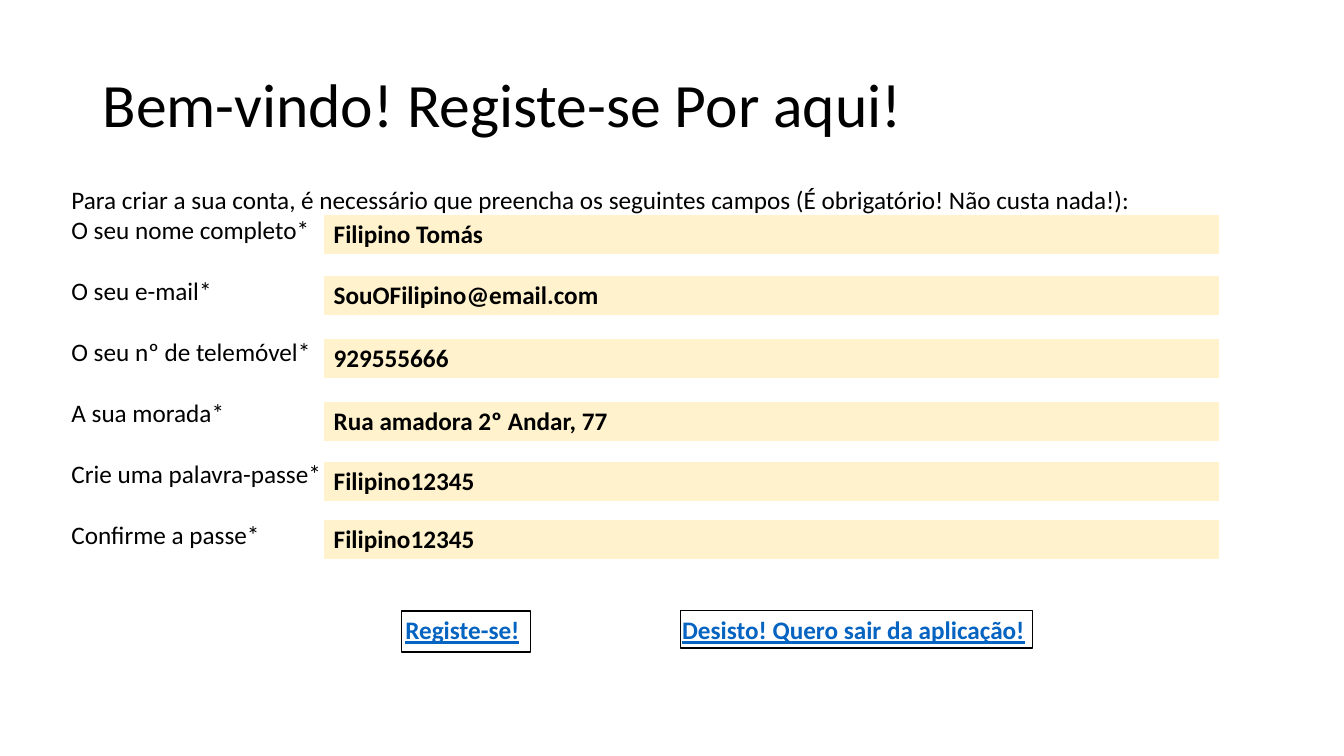
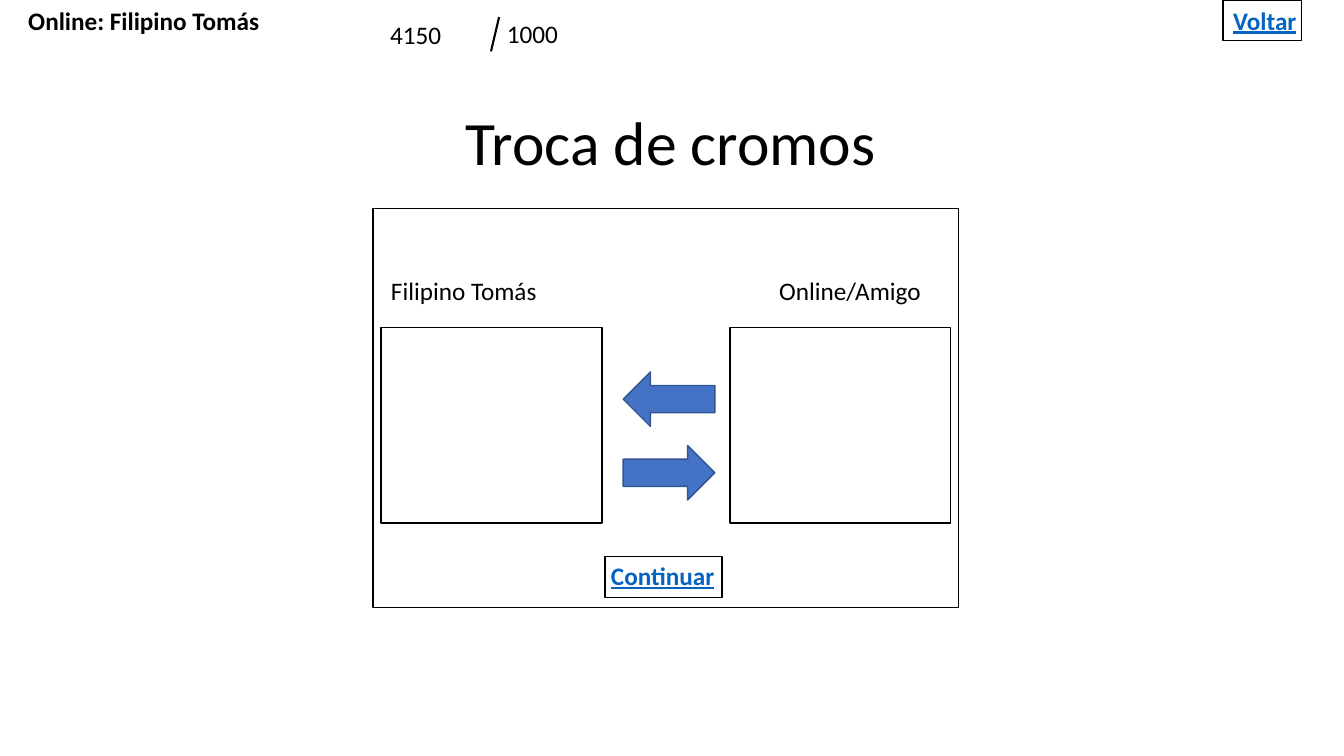
"""Builds the registration and card exchange screens."""
from lxml import etree
from pptx import Presentation
from pptx.dml.color import RGBColor
from pptx.enum import shapes, text
from pptx.oxml import ns
from pptx.util import Inches, Pt

FONT = "Calibri"
BLACK = RGBColor(0x00, 0x00, 0x00)
WHITE = RGBColor(0xFF, 0xFF, 0xFF)
CREAM = RGBColor(0xFF, 0xF2, 0xCC)
LINK_BLUE = RGBColor(0x05, 0x63, 0xC1)
ARROW_BLUE = RGBColor(0x44, 0x72, 0xC4)
ARROW_EDGE = RGBColor(0x32, 0x54, 0x91)
BODY_SIZE = 18
TITLE_SIZE = 44
ROW_HEIGHT = 0.41
CELL_MARGIN = 0.1
BORDERS = (("lnL", 1), ("lnR", 1), ("lnT", 1), ("lnB", 3))

FORM_INTRO = (
    "Para criar a sua conta, é necessário que preencha os seguintes campos "
    "(É obrigatório! Não custa nada!):"
)
FORM_FIELDS = (
    ("O seu nome completo*", "Filipino Tomás", 2.13),
    ("O seu e-mail*", "SouOFilipino@email.com", 2.73),
    ("O seu nº de telemóvel*", "929555666", 3.36),
    ("A sua morada*", "Rua amadora 2º Andar, 77", 3.98),
    ("Crie uma palavra-passe*", "Filipino12345", 4.58),
    ("Confirme a passe*", "Filipino12345", 5.15),
)


def add_run(paragraph, content, size=BODY_SIZE, color=BLACK, bold=False, underline=False):
    run = paragraph.add_run()
    run.text = content
    font = run.font
    font.name, font.size, font.bold, font.underline = FONT, Pt(size), bold, underline
    font.color.rgb = color


def add_text(slide, left, top, width, height, content, size=BODY_SIZE):
    box = slide.shapes.add_textbox(*map(Inches, (left, top, width, height)))
    frame = box.text_frame
    frame.word_wrap = True
    add_run(frame.paragraphs[0], content, size)
    return frame


def set_borders(cell):
    properties = cell._tc.get_or_add_tcPr()
    for position, (tag, width) in enumerate(BORDERS):
        border = etree.Element(ns.qn(f"a:{tag}"), w=str(Pt(width)))
        fill = etree.SubElement(border, ns.qn("a:solidFill"))
        etree.SubElement(fill, ns.qn("a:srgbClr"), val=str(WHITE))
        properties.insert(position, border)


def add_row(slide, left, top, width, contents, fill=WHITE, margin=CELL_MARGIN, link=False):
    frame = slide.shapes.add_table(
        1, len(contents), *map(Inches, (left, top, width, ROW_HEIGHT))
    )
    table = frame.table
    table.first_row = table.horz_banding = False
    for index, content in enumerate(contents):
        cell = table.cell(0, index)
        cell.fill.solid()
        cell.fill.fore_color.rgb = fill
        cell.margin_left = Inches(CELL_MARGIN if index else margin)
        set_borders(cell)
        color = LINK_BLUE if link else BLACK
        add_run(cell.text_frame.paragraphs[0], content, color=color, bold=True, underline=link)


def add_shape(slide, kind, left, top, width, height, fill=None, line=BLACK):
    shape = slide.shapes.add_shape(kind, *map(Inches, (left, top, width, height)))
    shape.shadow.inherit = False
    if fill is None:
        shape.fill.background()
    else:
        shape.fill.solid()
        shape.fill.fore_color.rgb = fill
    shape.line.color.rgb = line
    shape.line.width = Pt(1)
    return shape


def add_frame(slide, left, top, width, height, fill=None):
    add_shape(slide, shapes.MSO_SHAPE.RECTANGLE, left, top, width, height, fill)


def add_arrow(slide, top, rotation):
    arrow = add_shape(
        slide, shapes.MSO_SHAPE.RIGHT_ARROW, 6.18, top, 0.91, 0.54, ARROW_BLUE, ARROW_EDGE
    )
    arrow.rotation = rotation


def add_line(slide, *ends):
    line = slide.shapes.add_connector(shapes.MSO_CONNECTOR.STRAIGHT, *map(Inches, ends))
    line.line.color.rgb = BLACK
    line.line.width = Pt(1.5)
    etree.SubElement(line._element.spPr, ns.qn("a:effectLst"))


def build_registration(slide):
    title = add_text(
        slide, 0.92, 0.34, 11.5, 1.45, "Bem-vindo! Registe-se Por aqui!", TITLE_SIZE
    )
    title.vertical_anchor = text.MSO_ANCHOR.MIDDLE
    title.paragraphs[0].line_spacing = 0.9

    labels = add_text(slide, 0.61, 1.78, 12.11, 5.55, FORM_INTRO)
    for label, value, top in FORM_FIELDS:
        paragraph = labels.add_paragraph()
        paragraph.space_after = Pt(22)
        add_run(paragraph, label)
        add_row(slide, 3.21, top, 8.89, [value], CREAM)

    buttons = ["Registe-se!", "Desisto! Quero sair da aplicação!"]
    add_row(slide, 2.22, 6.06, 8.89, buttons, margin=1.8, link=True)
    add_frame(slide, 3.98, 6.06, 1.28, 0.41)
    add_frame(slide, 6.75, 6.06, 3.49, 0.37)


def build_exchange(slide):
    add_text(slide, 4.52, 0.98, 4.29, 0.84, "Troca de cromos", TITLE_SIZE)
    add_row(slide, 0.13, 0.01, 2.6, ["Online: Filipino Tomás"], margin=0.15)
    add_text(slide, 3.77, 0.14, 1.1, 0.4, "4150")
    add_text(slide, 4.93, 0.13, 1.73, 0.4, "1000")
    add_line(slide, 4.87, 0.51, 4.95, 0.17)
    add_row(slide, 12.13, 0.01, 0.97, ["Voltar"], link=True)
    add_frame(slide, 12.13, 0, 0.78, 0.4)

    add_frame(slide, 3.7, 2.07, 5.81, 3.96, WHITE)
    for left in (3.78, 7.24):
        add_frame(slide, left, 3.25, 2.19, 1.94, WHITE)
    add_text(slide, 3.78, 2.68, 1.73, 0.4, "Filipino Tomás")
    add_text(slide, 7.63, 2.68, 2.76, 0.4, "Online/Amigo")
    add_arrow(slide, 4.42, 0)
    add_arrow(slide, 3.69, 180)
    add_row(slide, 5.96, 5.52, 1.28, ["Continuar"], link=True)
    add_frame(slide, 6, 5.52, 1.16, 0.41)


def main():
    presentation = Presentation()
    presentation.slide_width = Inches(13.33)
    presentation.slide_height = Inches(7.5)
    for build in (build_registration, build_exchange):
        build(presentation.slides.add_slide(presentation.slide_layouts[6]))
    presentation.save("out.pptx")


if __name__ == "__main__":
    main()
